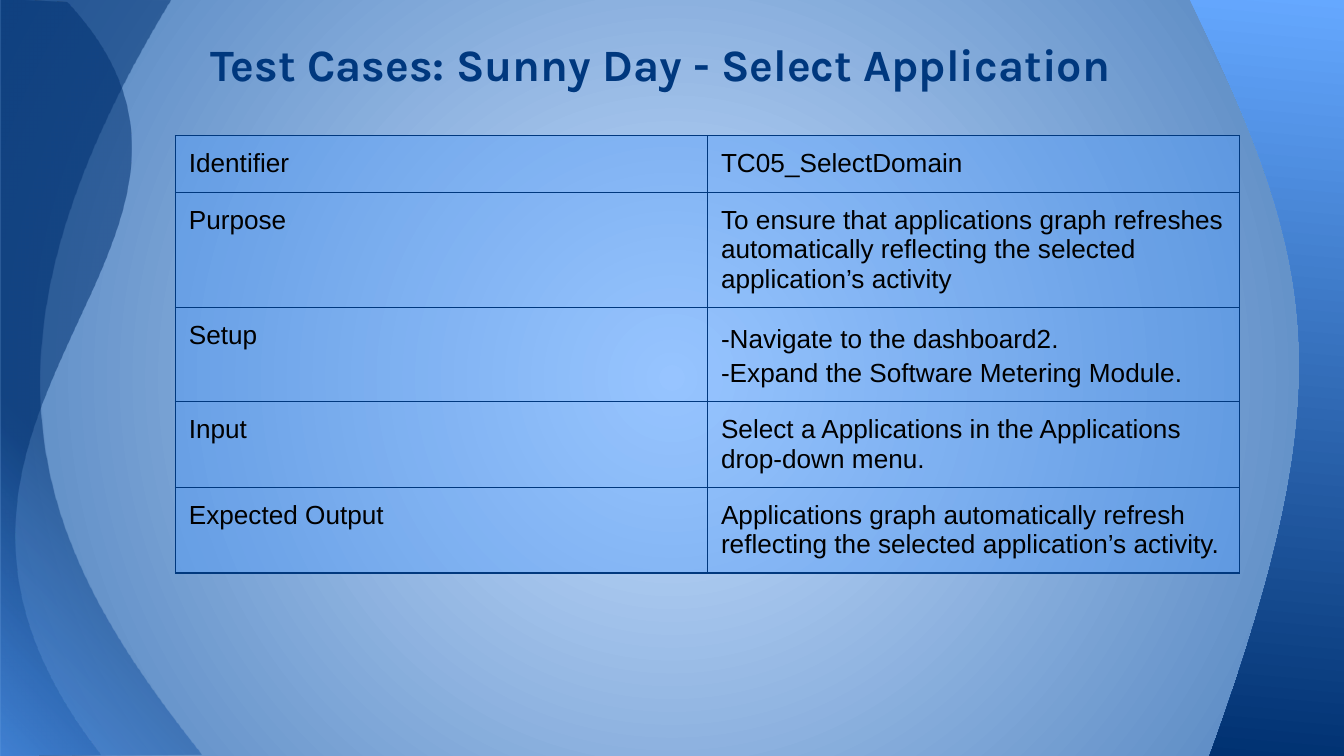
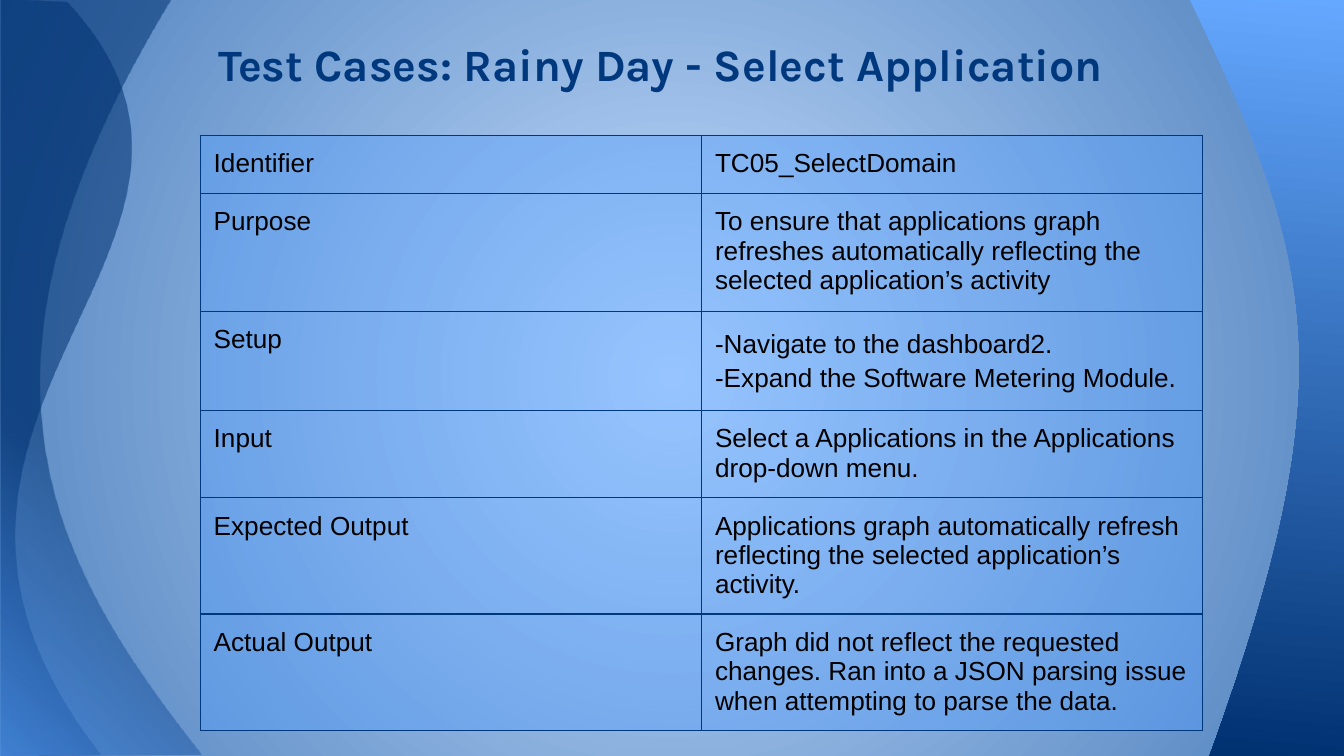
from dataclasses import dataclass
from typing import Optional

from pptx import Presentation
from pptx.dml.color import RGBColor
from pptx.enum.text import MSO_ANCHOR, MSO_AUTO_SIZE, PP_ALIGN
from pptx.oxml import parse_xml
from pptx.oxml.ns import nsdecls
from pptx.oxml.xmlchemy import OxmlElement
from pptx.util import Inches, Pt

WIDTH = Inches(10)
HEIGHT = WIDTH * 9 // 16
COLUMN = WIDTH / 100
ROW = COLUMN
MARGIN = Inches(0.1)
CELL_ALPHA, WAVE_ALPHA = 41, 54
BORDER_WIDTH = Pt(0.75)

COLOURS = {
    "navy": "00387E",
    "deep": "003171",
    "sky": "549FFF",
    "bright": "65A8FF",
    "pale": "C6DFFF",
    "steel": "4F81BD",
    "black": "000000",
}

TITLE_FONT = {"name": "Karla", "size": Pt(24), "bold": True}
CELL_FONT = {"name": "Arial", "size": Pt(14), "bold": False}
INSETS = {"margin_left": MARGIN, "margin_right": MARGIN, "margin_top": MARGIN, "margin_bottom": MARGIN}
TITLE_FRAME = {
    **INSETS,
    "margin_right": Inches(0.27),
    "vertical_anchor": MSO_ANCHOR.BOTTOM,
    "auto_size": MSO_AUTO_SIZE.NONE,
    "word_wrap": True,
}
CELL_FRAME = {**INSETS, "vertical_anchor": MSO_ANCHOR.TOP}
PLAIN_TABLE = {"first_row": False, "horz_banding": False}

Point = tuple[float, float]


@dataclass(frozen=True)
class Gradient:
    stops: tuple[tuple[int, str], ...]
    alpha: int = 100
    focus: Optional[tuple[int, int, int, int]] = None
    angle: int = 0


@dataclass(frozen=True)
class Band:
    start: Point
    segments: tuple[tuple[Point, ...], ...]
    gradient: Gradient


@dataclass(frozen=True)
class TestCase:
    title: str
    left: float
    column_width: float
    row_heights: tuple[float, ...]
    entries: tuple[tuple[str, str], ...]


BACKDROP = Gradient(((0, "pale"), (100, "steel")), focus=(50, 50, 50, 50))
WAVE = Gradient(((0, "sky"), (41, "deep"), (100, "deep")), WAVE_ALPHA, focus=(0, 100, 100, 0))
BANDS = (
    Band(
        (15, 56.1),
        (
            ((-0.1, 56.2),),
            ((-0.1, 37.4), (0, 18.6), (0, -0.2)),
            ((12.7, 0),),
            ((-3.8, 27.2), (3.3, 41.3), (15, 56.1)),
        ),
        WAVE,
    ),
    Band(
        (7.5, 56.1),
        (
            ((0.1, 56.2),),
            ((0.1, 37.5), (0.1, 18.8), (0.1, 0)),
            ((5, 0.2),),
            ((21.7, 18.2), (-12.2, 30.8), (7.5, 56.1)),
        ),
        WAVE,
    ),
    Band(
        (100.5, 56.25),
        (
            ((90, 56.25),),
            ((100.1, 28.4), (98.1, 19.6), (88.5, -0.1)),
            ((100.5, -0.1),),
            ((100.5, 56.25),),
        ),
        Gradient(((0, "bright"), (100, "deep")), angle=95),
    ),
)

SHARED_ENTRIES = (
    ("Identifier", "TC05_SelectDomain"),
    (
        "Purpose",
        "To ensure that applications graph refreshes automatically "
        "reflecting the selected application’s activity",
    ),
    ("Setup", "-Navigate to the dashboard2.\n-Expand the Software Metering Module."),
    ("Input", "Select a Applications in the Applications drop-down menu."),
    (
        "Expected Output",
        "Applications graph automatically refresh reflecting the selected application’s activity.",
    ),
)
FAILURE = (
    "Actual Output",
    "Graph did not reflect the requested changes. Ran into a JSON parsing issue "
    "when attempting to parse the data.",
)
TEST_CASES = (
    TestCase("Test Cases: Sunny Day - Select Application", 13.05, 39.6, (4.2,) * 5, SHARED_ENTRIES),
    TestCase(
        "Test Cases: Rainy Day - Select Application",
        14.9,
        37.3,
        (4.3, 8.8, 7.35, 6.5, 8.65, 8.65),
        (*SHARED_ENTRIES, FAILURE),
    ),
)


def across(columns: float) -> int:
    return round(columns * COLUMN)


def down(rows: float) -> int:
    return round(rows * ROW)


def apply_format(target, values: dict) -> None:
    for name, value in values.items():
        setattr(target, name, value)


def format_text(paragraph, font: dict, colour: str) -> None:
    for span in paragraph.runs:
        apply_format(span.font, font)
        span.font.color.rgb = RGBColor.from_string(COLOURS[colour])


def gradient_element(gradient: Gradient):
    stops = "".join(
        f'<a:gs pos="{position * 1000}"><a:srgbClr val="{COLOURS[colour]}">'
        f'<a:alpha val="{gradient.alpha * 1000}"/></a:srgbClr></a:gs>'
        for position, colour in gradient.stops
    )
    if gradient.focus:
        edges = " ".join(f'{edge}="{share * 1000}"' for edge, share in zip("ltrb", gradient.focus))
        direction = f'<a:path path="circle"><a:fillToRect {edges}/></a:path>'
    else:
        direction = f'<a:lin ang="{gradient.angle * 60000}" scaled="0"/>'
    return parse_xml(
        f'<a:gradFill {nsdecls("a")} rotWithShape="1"><a:gsLst>{stops}</a:gsLst>{direction}</a:gradFill>'
    )


def fill_gradient(fill, parent, query: str, gradient: Gradient) -> None:
    fill.solid()
    solid = parent.xpath(query)[0]
    solid.getparent().replace(solid, gradient_element(gradient))


def bend_segments(shape, band: Band) -> None:
    lines = iter(shape.element.xpath(".//a:lnTo"))
    for segment in band.segments:
        members = [next(lines) for _ in segment]
        if len(members) == 3:
            curve = OxmlElement("a:cubicBezTo")
            members[0].addprevious(curve)
            for member in members:
                curve.append(member[0])
                member.getparent().remove(member)


def add_band(page, band: Band):
    builder = page.shapes.build_freeform(across(band.start[0]), down(band.start[1]))
    points = [(across(x), down(y)) for segment in band.segments for x, y in segment]
    builder.add_line_segments(points, close=True)
    shape = builder.convert_to_shape()
    bend_segments(shape, band)
    shape.shadow.inherit = False
    shape.line.fill.background()
    fill_gradient(shape.fill, shape.element, "./p:spPr/a:solidFill", band.gradient)
    return shape


def decorate_master(deck, page) -> None:
    master = deck.slide_master
    fill_gradient(master.background.fill, master.element, ".//p:bgPr/a:solidFill", BACKDROP)
    tree = master.shapes.element
    for index, band in enumerate(BANDS):
        shape = add_band(page, band)
        shape.element.xpath("./p:nvSpPr/p:cNvPr")[0].set("id", str(100 + index))
        shape.name = f"Band {index + 1}"
        tree.insert(2 + index, shape.element)


def style_cell(cell) -> None:
    apply_format(cell, CELL_FRAME)
    cell.fill.solid()
    cell.fill.fore_color.rgb = RGBColor.from_string(COLOURS["sky"])
    properties = cell._tc.tcPr
    alpha = OxmlElement("a:alpha")
    alpha.set("val", str(CELL_ALPHA * 1000))
    properties.xpath("./a:solidFill/a:srgbClr")[0].append(alpha)
    for index, side in enumerate("LRTB"):
        border = parse_xml(
            f'<a:ln{side} {nsdecls("a")} w="{BORDER_WIDTH}"><a:solidFill>'
            f'<a:srgbClr val="{COLOURS["navy"]}"/></a:solidFill></a:ln{side}>'
        )
        properties.insert(index, border)


def add_title(page, text: str) -> None:
    title = page.shapes.title
    apply_format(title, {"left": across(5), "top": down(-0.2), "width": across(90), "height": down(7.9)})
    frame = title.text_frame
    frame.text = text
    apply_format(frame, TITLE_FRAME)
    paragraph = frame.paragraphs[0]
    paragraph.alignment = PP_ALIGN.CENTER
    format_text(paragraph, TITLE_FONT, "navy")


def add_case_table(page, case: TestCase) -> None:
    table = page.shapes.add_table(
        len(case.entries),
        2,
        across(case.left),
        down(10.1),
        across(2 * case.column_width),
        down(sum(case.row_heights)),
    ).table
    apply_format(table, PLAIN_TABLE)
    for column in table.columns:
        column.width = across(case.column_width)
    for row, height, entry in zip(table.rows, case.row_heights, case.entries):
        row.height = down(height)
        for cell, text in zip(row.cells, entry):
            cell.text = text
            style_cell(cell)
            paragraphs = cell.text_frame.paragraphs
            for paragraph in paragraphs:
                format_text(paragraph, CELL_FONT, "black")
                if len(paragraphs) > 1:
                    paragraph.line_spacing = 1.15


def main() -> None:
    deck = Presentation()
    apply_format(deck, {"slide_width": WIDTH, "slide_height": HEIGHT})
    title_only = deck.slide_layouts.get_by_name("Title Only")
    pages = [deck.slides.add_slide(title_only) for _ in TEST_CASES]
    decorate_master(deck, pages[0])
    for page, case in zip(pages, TEST_CASES):
        add_title(page, case.title)
        add_case_table(page, case)
    deck.save("out.pptx")


if __name__ == "__main__":
    main()
